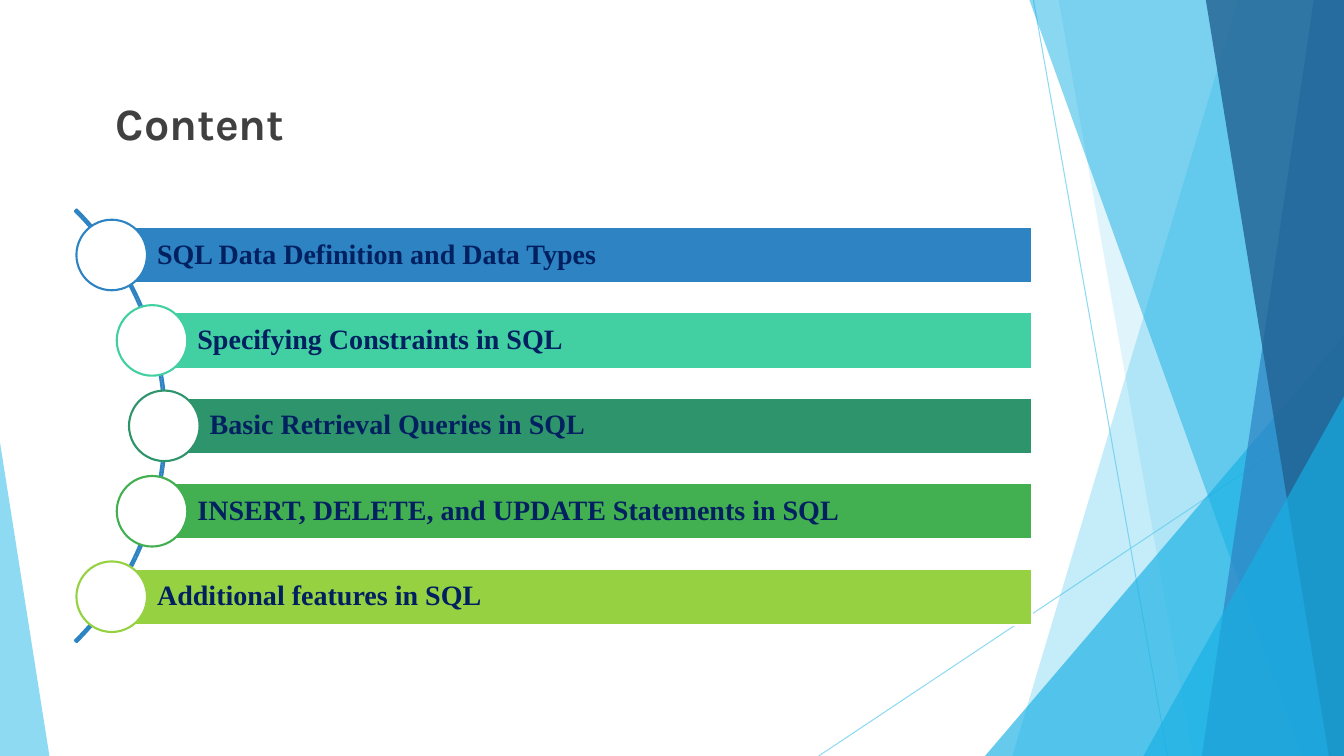
from math import sqrt
from lxml import etree
from pptx import Presentation
from pptx.dml.color import RGBColor
from pptx.enum.shapes import MSO_CONNECTOR, MSO_SHAPE as SHAPE
from pptx.enum.text import MSO_ANCHOR, PP_ALIGN
from pptx.oxml.ns import qn
from pptx.util import Inches, Pt

W, H = 13.33, 7.5
COLORS = {
    "sky": "5FCBEF", "cyan": "17B0E4", "blue": "2E83C3", "navy": "226292",
    "mint": "42D0A2", "teal": "2E946B", "green": "42B051", "lime": "96D141",
    "white": "FFFFFF", "ink": "002060", "heading": "404040",
}
TOPICS = [
    ("SQL Data Definition and Data Types", "blue"),
    ("Specifying Constraints in SQL", "mint"),
    ("Basic Retrieval Queries in SQL", "teal"),
    ("INSERT, DELETE, and UPDATE Statements in SQL", "green"),
    ("Additional features in SQL", "lime"),
]


def rgb(name):
    return RGBColor.from_string(COLORS[name])


def paint(fill, color, alpha=100):
    fill.solid()
    fill.fore_color.rgb = rgb(color)
    if alpha < 100:
        clr = fill._xPr.find(qn("a:solidFill"))[0]
        etree.SubElement(clr, qn("a:alpha"), val=str(alpha * 1000))


def style(sp, fill=None, alpha=100, line=None):
    sp.shadow.inherit = False
    if fill:
        paint(sp.fill, fill, alpha)
    else:
        sp.fill.background()
    if line:
        sp.line.color.rgb = rgb(line)
        sp.line.width = Pt(1.5)
    else:
        sp.line.fill.background()


def add_preset(s, kind, x, y, w, h, **look):
    sp = s.shapes.add_shape(kind, Inches(x), Inches(y), Inches(w), Inches(h))
    style(sp, **look)
    return sp


def add_thin_line(s, x1, y1, x2, y2):
    line = s.shapes.add_connector(MSO_CONNECTOR.STRAIGHT, *map(Inches, (x1, y1, x2, y2)))
    line.line.width = Pt(0.75)
    paint(line.line.fill, "sky", 70)
    etree.SubElement(line._element.spPr, qn("a:effectLst"))


def add_band(s, right, y, h, top, bottom, color, alpha):
    """Slanted band reaching the right edge; top and bottom are its widths."""
    corners = [(right - top, y), (right, y), (right, y + h), (right - bottom, y + h)]
    points = [(Inches(px), Inches(py)) for px, py in corners]
    builder = s.shapes.build_freeform(*points[0])
    builder.add_line_segments(points[1:], close=True)
    style(builder.convert_to_shape(), color, alpha)


def add_corner(s, x, bottom, w, h, apex, color, alpha):
    sp = add_preset(s, SHAPE.ISOSCELES_TRIANGLE, x, bottom - h, w, h, fill=color, alpha=alpha)
    sp.adjustments[0] = apex


def add_facets(s, x, y, w, h):
    right, bottom = x + w, y + h
    # Hairlines
    add_thin_line(s, right - 3.08, y, right - 1.75, bottom)
    add_thin_line(s, right, y + 4.03, right - 5.21, bottom)
    # Translucent bands and corners, back to front
    add_band(s, right, y, h, 1.05, 3.29, "sky", 36)
    add_band(s, right, y, h, 2.83, 1.5, "sky", 20)
    add_corner(s, right - 3.56, bottom, 3.56, 4.17, 1, "cyan", 66)
    add_band(s, right, y, h, 3.12, 0.42, "cyan", 50)
    add_band(s, right, y, h, 0.3, 1.41, "blue", 70)
    add_band(s, right, y, h, 1.37, 0.15, "navy", 80)
    add_corner(s, right - 1.99, bottom, 1.99, 3.57, 1, "cyan", 66)
    add_corner(s, x, bottom, 0.49, 3.11, 0, "sky", 70)


def format_text(tf, text, font, size, color):
    tf.word_wrap = True
    tf.text = text
    p = tf.paragraphs[0]
    p.alignment = PP_ALIGN.LEFT
    r = p.runs[0]
    r.font.name, r.font.size, r.font.bold = font, Pt(size), True
    r.font.color.rgb = rgb(color)
    return p


def add_topic_list(s, x, y, w, h):
    bar_h, dot, pitch = 0.56, 0.7, 0.8475
    radius, arc = 3.015, 6.07
    hub_x, hub_y = x - 2.135, y + h / 2
    # Curved spine
    spine = add_preset(s, SHAPE.BLOCK_ARC, hub_x - arc / 2, hub_y - arc / 2, arc, arc, line="blue")
    for i, value in enumerate((189, 27, 0.004)):
        spine.adjustments[i] = value
    # Bars start at the centres of dots that follow the spine
    for i, (topic, color) in enumerate(TOPICS):
        dy = (i - (len(TOPICS) - 1) / 2) * pitch
        cx, cy = hub_x + sqrt(radius ** 2 - dy ** 2), hub_y + dy
        bar = add_preset(s, SHAPE.RECTANGLE, cx, cy - bar_h / 2, x + w - cx, bar_h,
                         fill=color, line="white")
        tf = bar.text_frame
        tf.vertical_anchor = MSO_ANCHOR.MIDDLE
        tf.margin_left = Inches(0.45)
        tf.margin_right = tf.margin_top = tf.margin_bottom = Inches(0.06)
        format_text(tf, topic, "Times New Roman", 20, "ink").line_spacing = 0.9
        add_preset(s, SHAPE.OVAL, cx - dot / 2, cy - dot / 2, dot, dot, fill="white", line=color)


def add_title(s, x, y, w, h):
    box = s.shapes.add_textbox(Inches(x), Inches(y), Inches(w), Inches(h))
    format_text(box.text_frame, "Content", "Karla", 32, "heading")


def main():
    prs = Presentation()
    prs.slide_width, prs.slide_height = Inches(W), Inches(H)
    s = prs.slides.add_slide(prs.slide_layouts[6])
    add_facets(s, 0, 0, W, H)
    add_topic_list(s, 0.75, 2.1, 9.49, 4.25)
    add_title(s, 1.05, 0.9, 9.33, 1.29)
    prs.save("out.pptx")


if __name__ == "__main__":
    main()
